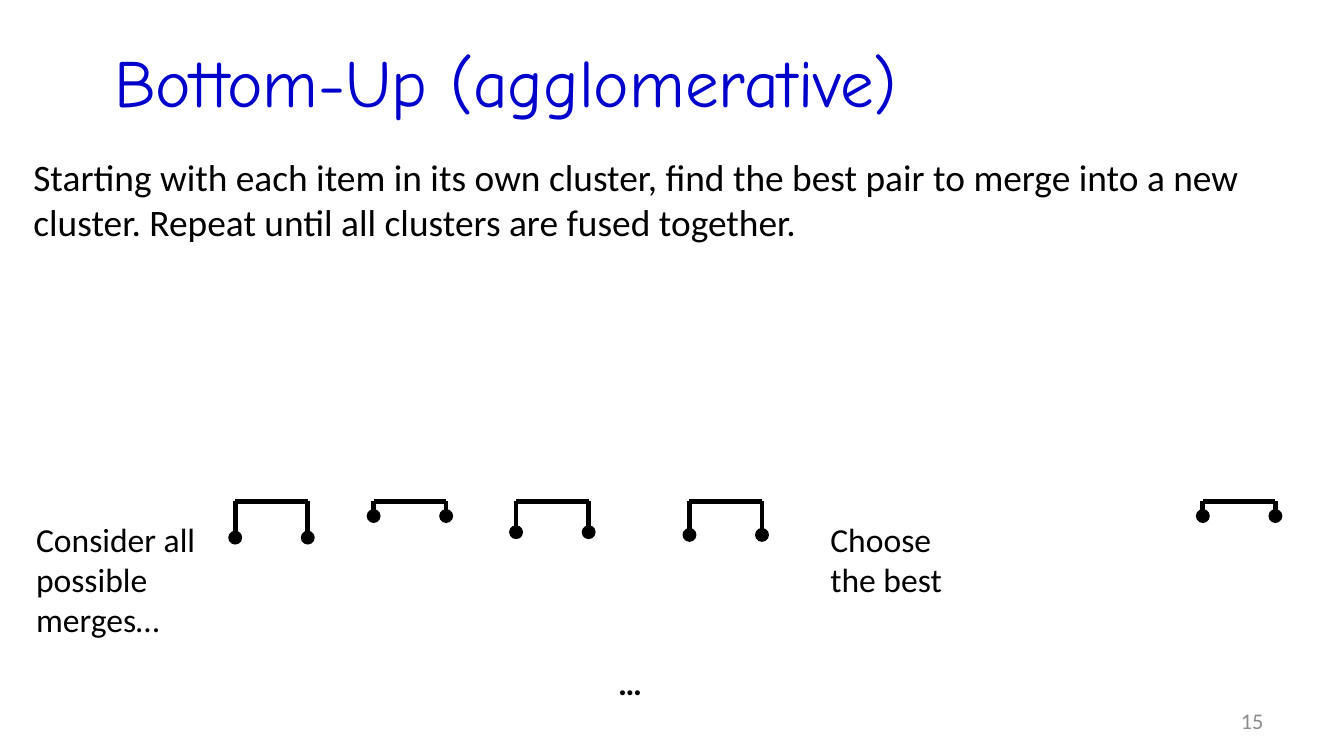
from typing import NamedTuple

from lxml import etree
from pptx import Presentation
from pptx.dml.color import RGBColor
from pptx.enum.shapes import MSO_CONNECTOR
from pptx.enum.text import MSO_ANCHOR, PP_ALIGN
from pptx.oxml.ns import qn
from pptx.util import Inches, Pt

STRAIGHT = MSO_CONNECTOR.STRAIGHT
TOP, MIDDLE = MSO_ANCHOR.TOP, MSO_ANCHOR.MIDDLE
LEFT, RIGHT = PP_ALIGN.LEFT, PP_ALIGN.RIGHT

BLACK, GRAY, BLUE = "000000", "8C8C8C", "0000CC"
SLIDE_WIDTH = 10
SLIDE_HEIGHT = SLIDE_WIDTH * 9 / 16
BAR_TOP = 3.73
BAR_WIDTH = 0.54


class Merge(NamedTuple):
    """A two-leaf dendrogram, placed by its left leg and leaf height."""
    left: float
    leaf: float


class Caption(NamedTuple):
    box: tuple[float, float, float, float]
    text: str
    style: dict


MERGES = [
    Merge(8.95, 3.84),
    Merge(2.78, 3.84),
    Merge(3.84, 3.96),
    Merge(1.75, 4.0),
    Merge(5.13, 3.98),
]

CAPTIONS = [
    Caption((0.15, 1.1, 9.27, 0.77),
            "Starting with each item in its own cluster, find the best pair to merge "
            "into a new cluster. Repeat until all clusters are fused together.",
            {"size": 20}),
    Caption((4.5, 4.88, 0.38, 0.4), "…", {"bold": True, "wrap": False}),
    Caption((0.17, 3.81, 1.63, 1.01), "Consider all possible merges…", {}),
    Caption((6.08, 3.81, 1.21, 0.71), "Choose the best", {}),
    Caption((7.17, 5.21, 2.33, 0.3), "15",
            {"size": 12, "color": GRAY, "align": RIGHT, "anchor": MIDDLE}),
]


def rgb(color: str) -> RGBColor:
    return RGBColor.from_string(color)


def write(shape, text: str, *, size: float = 18, font: str = "Calibri",
          color: str = BLACK, bold: bool = False, align=LEFT, anchor=TOP,
          wrap: bool = True) -> None:
    frame = shape.text_frame
    frame.word_wrap = wrap
    frame.vertical_anchor = anchor
    paragraph = frame.paragraphs[0]
    paragraph.alignment = align
    run = paragraph.add_run()
    run.text = text
    run.font.size = Pt(size)
    run.font.name = font
    run.font.bold = bold
    run.font.color.rgb = rgb(color)


def add_line(shapes, start: tuple[float, float], end: tuple[float, float],
             leaf: bool = False) -> None:
    """Draw a black line, with a dot at its start when it ends in a leaf."""
    line = shapes.add_connector(STRAIGHT, *map(Inches, start + end))
    line.line.color.rgb = rgb(BLACK)
    line.line.width = Pt(2.5)
    properties = line._element.spPr
    if leaf:
        etree.SubElement(properties.find(qn("a:ln")), qn("a:headEnd"), type="oval")
    etree.SubElement(properties, qn("a:effectLst"))


def add_merge(slide, merge: Merge) -> None:
    shapes = slide.shapes.add_group_shape().shapes
    right = merge.left + BAR_WIDTH
    for x in (right, merge.left):
        add_line(shapes, (x, merge.leaf), (x, BAR_TOP), leaf=True)
    add_line(shapes, (right, BAR_TOP), (merge.left, BAR_TOP))


def main() -> None:
    deck = Presentation()
    deck.slide_width, deck.slide_height = Inches(SLIDE_WIDTH), Inches(SLIDE_HEIGHT)
    slide = deck.slides.add_slide(deck.slide_layouts[5])

    title = slide.shapes.title
    title.left, title.top = Inches(0.75), Inches(0.25)
    title.width, title.height = Inches(9.75), Inches(0.94)
    write(title, "Bottom-Up (agglomerative)", size=36, font="Comic Neue", color=BLUE)

    for merge in MERGES:
        add_merge(slide, merge)
    for caption in CAPTIONS:
        box = slide.shapes.add_textbox(*map(Inches, caption.box))
        write(box, caption.text, **caption.style)

    deck.save("out.pptx")


if __name__ == "__main__":
    main()
